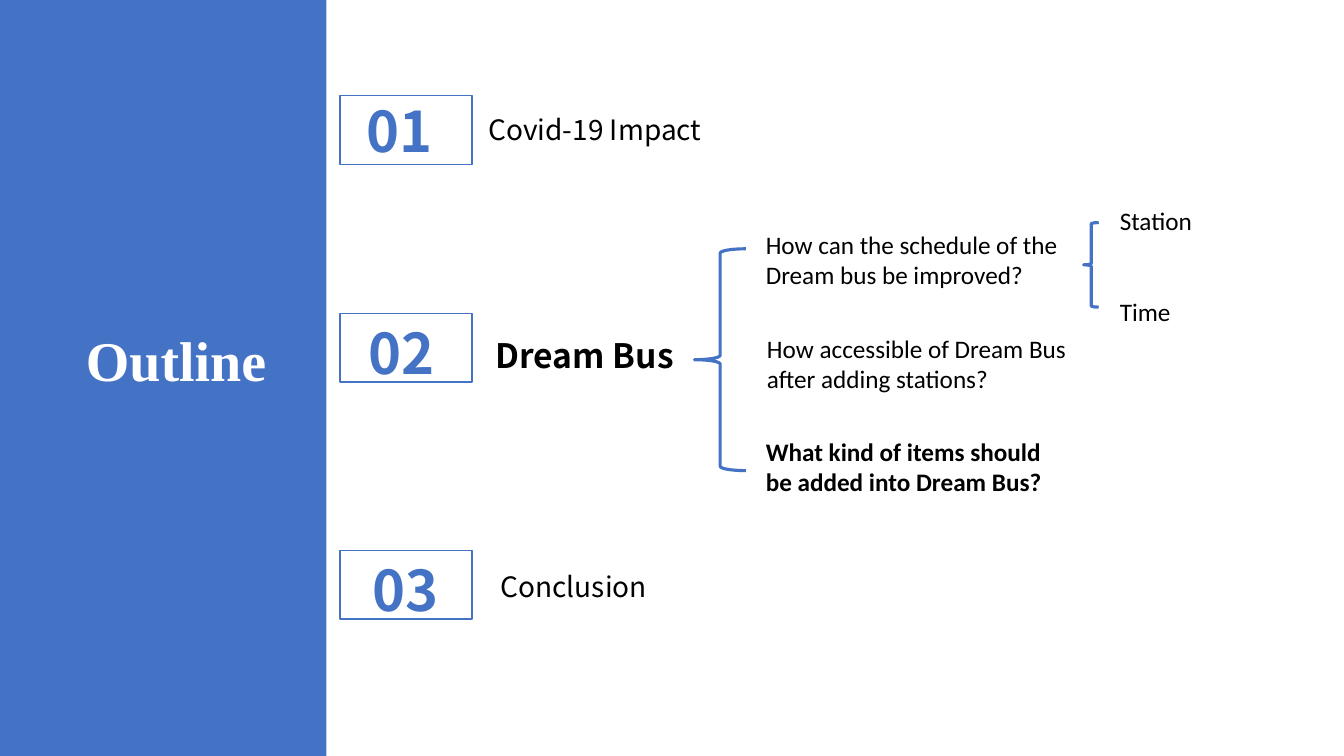
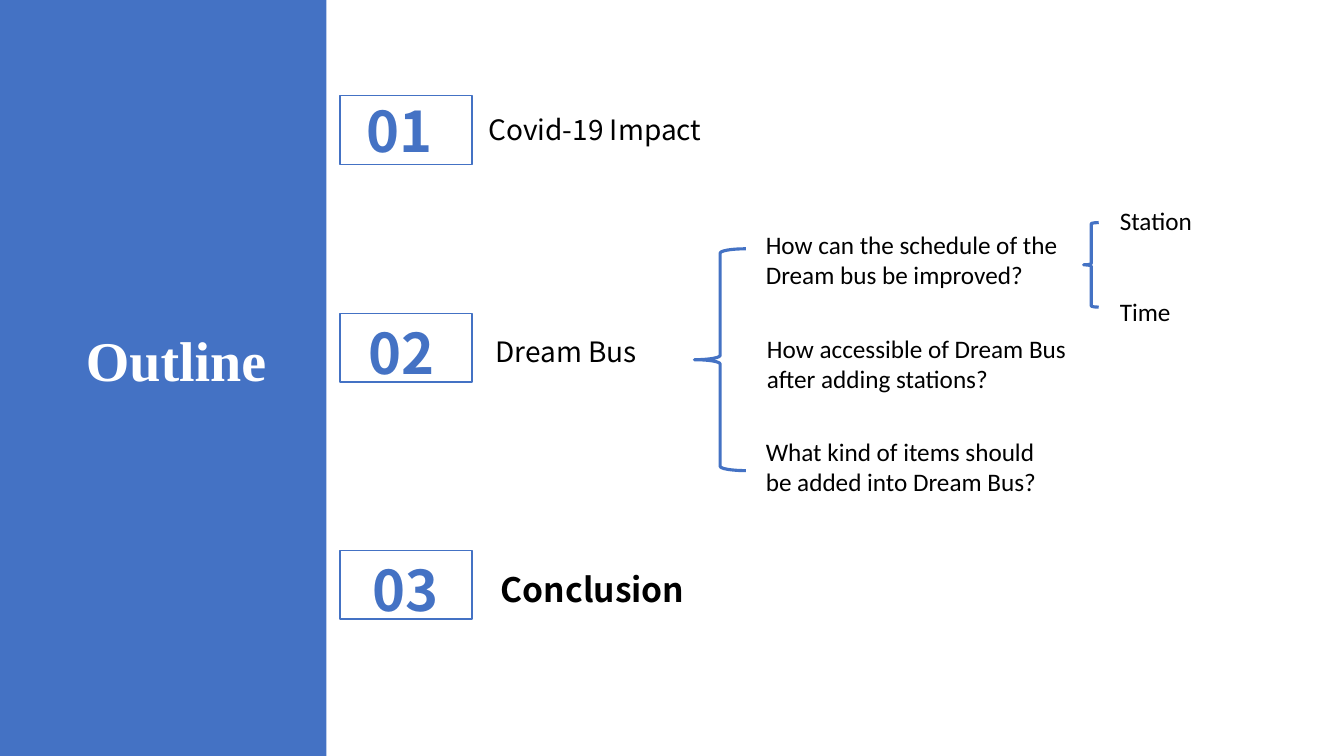
"""Build two outline slides, each with one stage of the talk in bold."""
from pptx import Presentation
from pptx import util as u
from pptx.dml.color import RGBColor
from pptx.enum import shapes, text

BLUE = RGBColor(0x44, 0x72, 0xC4)
WHITE = RGBColor(0xFF, 0xFF, 0xFF)
BLACK = RGBColor(0, 0, 0)
SANS = "Noto Sans CJK SC"
LEFT, MID, RIGHT = text.PP_ALIGN.LEFT, text.PP_ALIGN.CENTER, text.PP_ALIGN.RIGHT
RECT = shapes.MSO_SHAPE.RECTANGLE
BRACE = shapes.MSO_SHAPE.LEFT_BRACE

TOPICS = [
    ("Covid-19 Impact", 12.06, 2.72),
    ("Dream Bus", 12.24, 8.31),
    ("Conclusion", 12.37, 14.22),
]
NUMBERS = [(7.65, 2.31), (7.69, 7.9), (7.8, 13.87)]
FRAMES = [2.41, 7.9, 13.87]
ASKS = [
    ("How can the schedule of the Dream bus be improved?", 19.05, 5.66, 8.28),
    ("How accessible of Dream Bus after adding stations?", 19.08, 8.28, 9.12),
    ("What kind of items should be added into Dream Bus?", 19.05, 10.87, 7.8),
]
PARTS = [("Station", 5.05), ("Time", 7.34)]
BRACES = [(27.31, 5.61, 0.38, 2.13), (17.5, 6.27, 1.3, 5.59)]
STAGES = [{"Dream Bus", ASKS[2][0]}, {"Conclusion"}]


def write(slide, words, left, top, width, height, *, size=18, font="Calibri",
          color=BLACK, bold=False, align=LEFT):
    box = slide.shapes.add_textbox(u.Cm(left), u.Cm(top), u.Cm(width), u.Cm(height))
    box.text_frame.word_wrap = True
    para = box.text_frame.paragraphs[0]
    para.alignment = align
    run = para.add_run()
    run.text = words
    run.font.size = u.Pt(size)
    run.font.name = font
    run.font.bold = bold
    run.font.color.rgb = color


def draw(slide, kind, left, top, width, height, *, fill=None, line=None):
    shape = slide.shapes.add_shape(kind, u.Cm(left), u.Cm(top), u.Cm(width), u.Cm(height))
    shape.shadow.inherit = False
    if fill is None:
        shape.fill.background()
    else:
        shape.fill.solid()
        shape.fill.fore_color.rgb = fill
    if line is None:
        shape.line.fill.background()
    else:
        shape.line.color.rgb = BLUE
        shape.line.width = u.Pt(line)


deck = Presentation()
deck.slide_width, deck.slide_height = u.Cm(33.87), u.Cm(19.05)

for strong in STAGES:
    slide = deck.slides.add_slide(deck.slide_layouts[6])
    draw(slide, RECT, 0, 0, 8.23, 19.05, fill=BLUE)
    write(slide, "Outline", 0, 8.08, 6.96, 1.96, size=40,
          font="Times New Roman", color=WHITE, bold=True, align=RIGHT)

    for top in FRAMES:
        draw(slide, RECT, 8.57, top, 3.33, 1.73, line=1)
    for index, (left, top) in enumerate(NUMBERS, 1):
        write(slide, f"{index:02}", left, top, 4.85, 1.96, size=40,
              font=SANS, color=BLUE, bold=True, align=MID)
    for words, left, top in TOPICS:
        bold = words in strong
        write(slide, words, left, top, 14.94, 1.2, size=24 if bold else 20,
              font=SANS, bold=bold)

    for words, left, top, width in ASKS:
        write(slide, words, left, top, width, 1.8, bold=words in strong)
    for words, top in PARTS:
        write(slide, words, 27.97, top, 3.12, 1.02)
    for place in BRACES:
        draw(slide, BRACE, *place, line=2.25)

deck.save("out.pptx")
